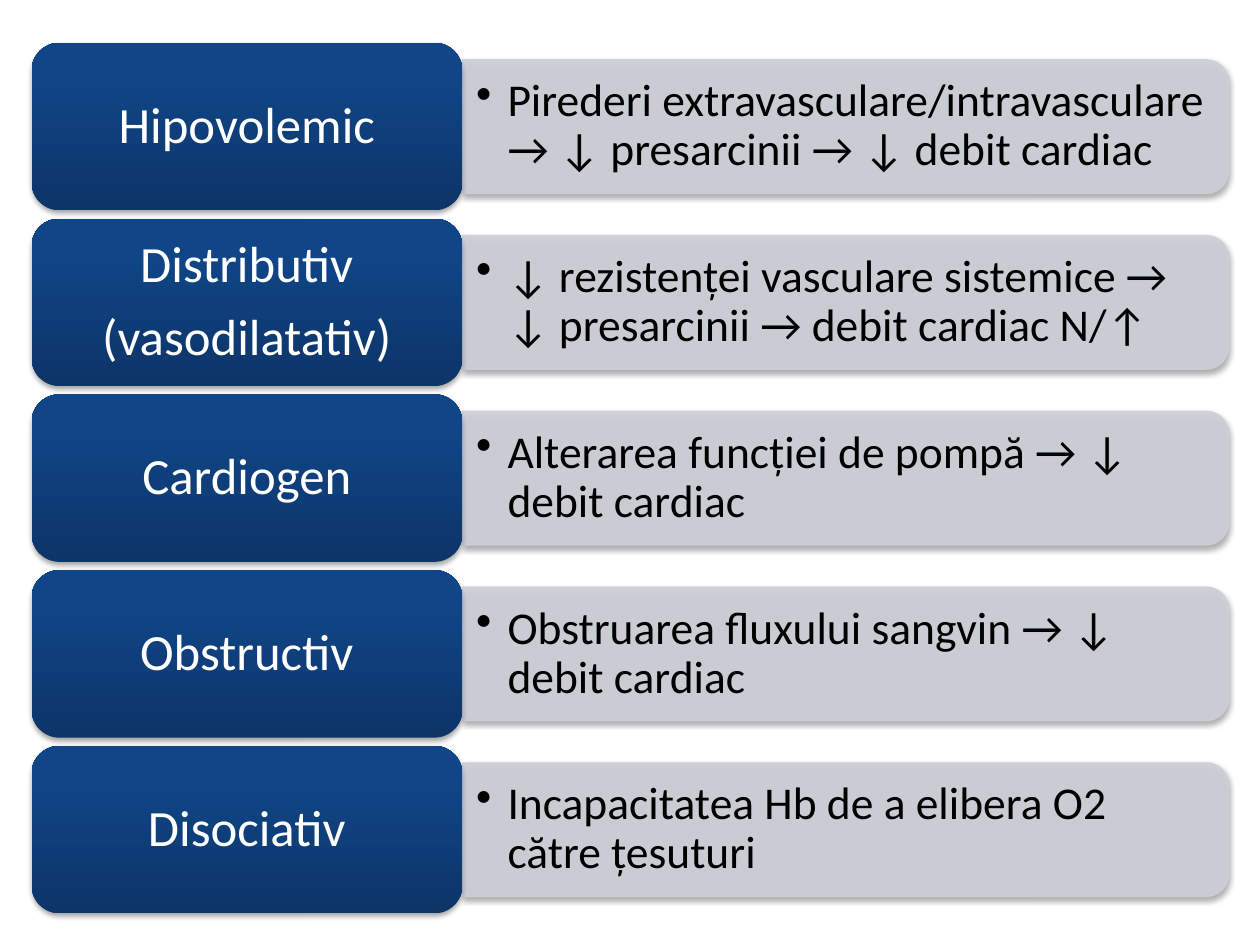
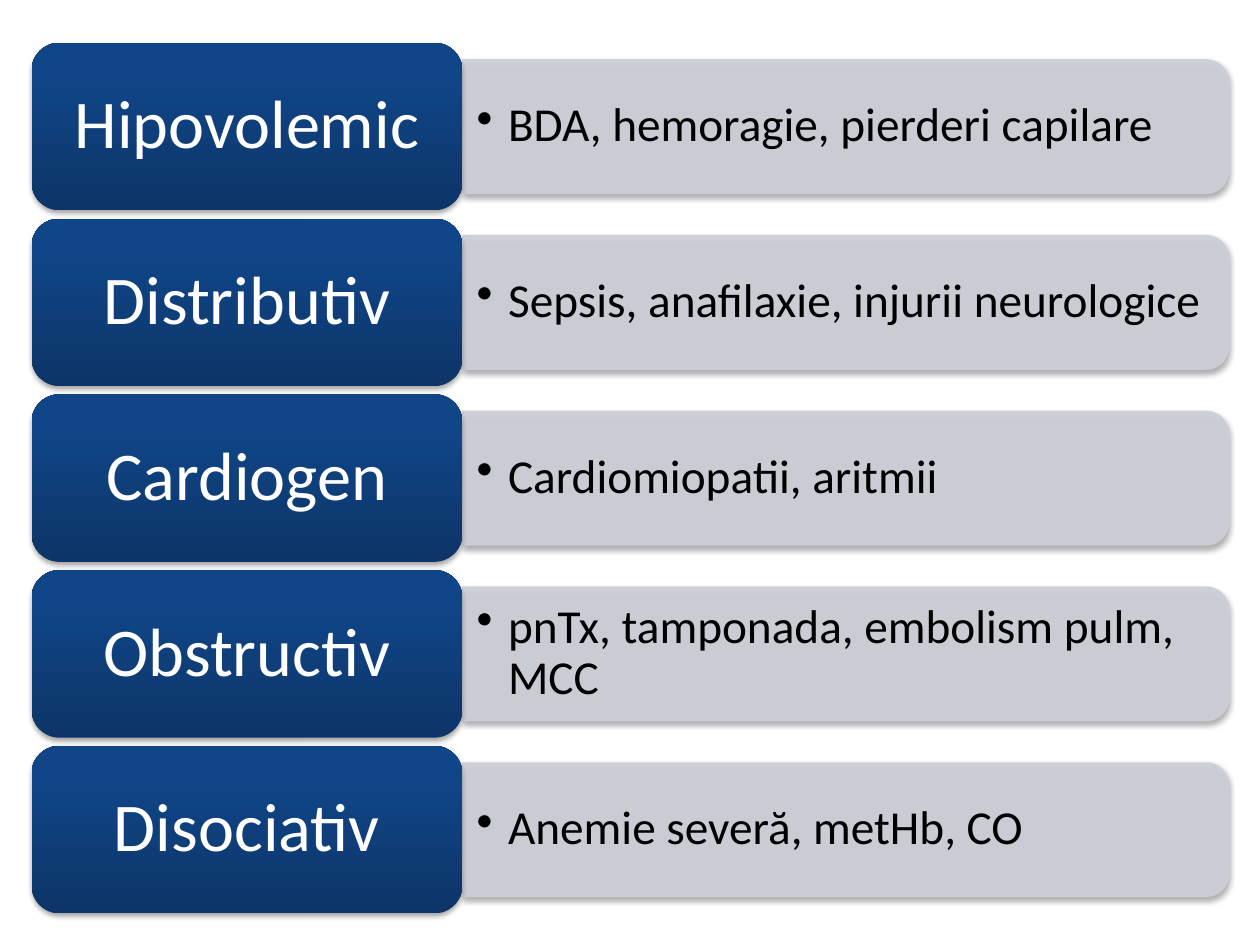
from copy import deepcopy
from dataclasses import dataclass

from lxml.etree import SubElement
from pptx import Presentation
from pptx.dml.color import RGBColor
from pptx.enum.shapes import MSO_SHAPE
from pptx.enum.text import MSO_ANCHOR, PP_ALIGN
from pptx.oxml.ns import qn
from pptx.util import Inches, Pt


@dataclass(frozen=True)
class Theme:
    font: str = "Calibri"
    label_text: str = "FFFFFF"
    detail_text: str = "000000"
    band: str = "CDD0D7"
    band_opacity: int = 90
    label_stops: tuple = ((0, "0D3568"), (0.8, "104587"), (1, "0E458A"))
    shadow: str = "000000"
    shadow_opacity: int = 35
    line_spacing: float = 0.9


@dataclass(frozen=True)
class Box:
    left: float
    top: float
    width: float
    height: float

    def inset(self, dx, dy):
        return Box(self.left + dx, self.top + dy,
                   self.width - 2 * dx, self.height - 2 * dy)

    def emu(self):
        return [Inches(v) for v in (self.left, self.top, self.width, self.height)]


THEME = Theme()
LIST_BOX = Box(0.25, 0.34, 9.5, 6.91)
LABEL_WIDTH, LABEL_HEIGHT = 3.42, 1.33
BAND_HEIGHT = 1.06

# Each slide: label size, detail size, rows of (label lines, detail)
SLIDES = [
    (29, 26, [
        (["Hipovolemic"],
         "Pirederi extravasculare/intravasculare → ↓ presarcinii → ↓ debit cardiac"),
        (["Distributiv", "(vasodilatativ)"],
         "↓ rezistenței vasculare sistemice → ↓ presarcinii → debit cardiac N/↑"),
        (["Cardiogen"], "Alterarea funcției de pompă → ↓ debit cardiac"),
        (["Obstructiv"], "Obstruarea fluxului sangvin → ↓ debit cardiac"),
        (["Disociativ"], "Incapacitatea Hb de a elibera O2 către țesuturi"),
    ]),
    (39, 27, [
        (["Hipovolemic"], "BDA, hemoragie, pierderi capilare"),
        (["Distributiv"], "Sepsis, anafilaxie, injurii neurologice"),
        (["Cardiogen"], "Cardiomiopatii, aritmii"),
        (["Obstructiv"], "pnTx, tamponada, embolism pulm, MCC"),
        (["Disociativ"], "Anemie severă, metHb, CO"),
    ]),
]


def set_opacity(color, percent):
    SubElement(color, qn("a:alpha"), val=str(percent * 1000))


def add_shadow(shape):
    shape.shadow.inherit = False
    effects = shape._element.spPr.find(qn("a:effectLst"))
    outer = SubElement(effects, qn("a:outerShdw"), blurRad=str(Pt(3.1)),
                       dist=str(Pt(1.8)), dir="5400000", rotWithShape="0")
    color = SubElement(outer, qn("a:srgbClr"), val=THEME.shadow)
    set_opacity(color, THEME.shadow_opacity)


def add_text(s, box, lines, size, color, bullet=False):
    tf = s.shapes.add_textbox(*box.emu()).text_frame
    # Insets grow with the type size
    side, edge = Pt(0.3 * size), Pt(0.15 * size)
    frame_format = dict(word_wrap=True, vertical_anchor=MSO_ANCHOR.MIDDLE,
                        margin_left=side, margin_right=side,
                        margin_top=edge, margin_bottom=edge)
    for name, value in frame_format.items():
        setattr(tf, name, value)
    for i, line in enumerate(lines):
        p = tf.paragraphs[0] if i == 0 else tf.add_paragraph()
        p.line_spacing = THEME.line_spacing
        if i:
            p.space_before = Pt(0.35 * size)
        if bullet:
            pPr = p._p.get_or_add_pPr()
            pPr.set("marL", str(Inches(0.25)))
            pPr.set("indent", str(Inches(-0.25)))
            SubElement(pPr, qn("a:buChar"), char="•")
        else:
            p.alignment = PP_ALIGN.CENTER
        r = p.add_run()
        r.text = line
        for name, value in dict(name=THEME.font, size=Pt(size)).items():
            setattr(r.font, name, value)
        r.font.color.rgb = RGBColor.from_string(color)


def add_detail(s, box, text, size):
    # Band: a shape with two round corners, turned so they face right
    left = box.left + (box.width - box.height) / 2
    top = box.top + (box.height - box.width) / 2
    upright = Box(left, top, box.height, box.width)
    band = s.shapes.add_shape(MSO_SHAPE.ROUND_2_SAME_RECTANGLE, *upright.emu())
    band.rotation = 90
    band.fill.solid()
    band.line.width = Pt(0.75)
    for color in (band.fill.fore_color, band.line.color):
        color.rgb = RGBColor.from_string(THEME.band)
    for color in band._element.spPr.xpath(".//a:srgbClr"):
        set_opacity(color, THEME.band_opacity)
    add_shadow(band)
    text_box = Box(box.left, box.top + 0.05, box.width - 0.05, box.height - 0.1)
    add_text(s, text_box, [text], size, THEME.detail_text, bullet=True)


def add_label(s, box, lines, size):
    label = s.shapes.add_shape(MSO_SHAPE.ROUNDED_RECTANGLE, *box.emu())
    label.line.fill.background()
    label.fill.gradient()
    label.fill.gradient_angle = 90
    stops = label._element.spPr.xpath(".//a:gsLst")[0]
    stops.append(deepcopy(stops[-1]))
    for stop, (position, color) in zip(label.fill.gradient_stops, THEME.label_stops):
        stop.position = position
        stop.color.rgb = RGBColor.from_string(color)
    add_shadow(label)
    add_text(s, box.inset(0.06, 0.06), lines, size, THEME.label_text)


def add_shock_list(s, box, label_size, detail_size, rows):
    pitch = (box.height - LABEL_HEIGHT) / (len(rows) - 1)
    for i, (label, detail) in enumerate(rows):
        row = Box(box.left, box.top + i * pitch, box.width, LABEL_HEIGHT)
        detail_box = Box(row.left + LABEL_WIDTH,
                         row.top + (row.height - BAND_HEIGHT) / 2,
                         row.width - LABEL_WIDTH, BAND_HEIGHT)
        add_detail(s, detail_box, detail, detail_size)
        label_box = Box(row.left, row.top, LABEL_WIDTH, row.height)
        add_label(s, label_box, label, label_size)


def main():
    prs = Presentation()
    prs.slide_width, prs.slide_height = Inches(10), Inches(7.5)
    for label_size, detail_size, rows in SLIDES:
        s = prs.slides.add_slide(prs.slide_layouts[6])
        add_shock_list(s, LIST_BOX, label_size, detail_size, rows)
    prs.save("out.pptx")


if __name__ == "__main__":
    main()
